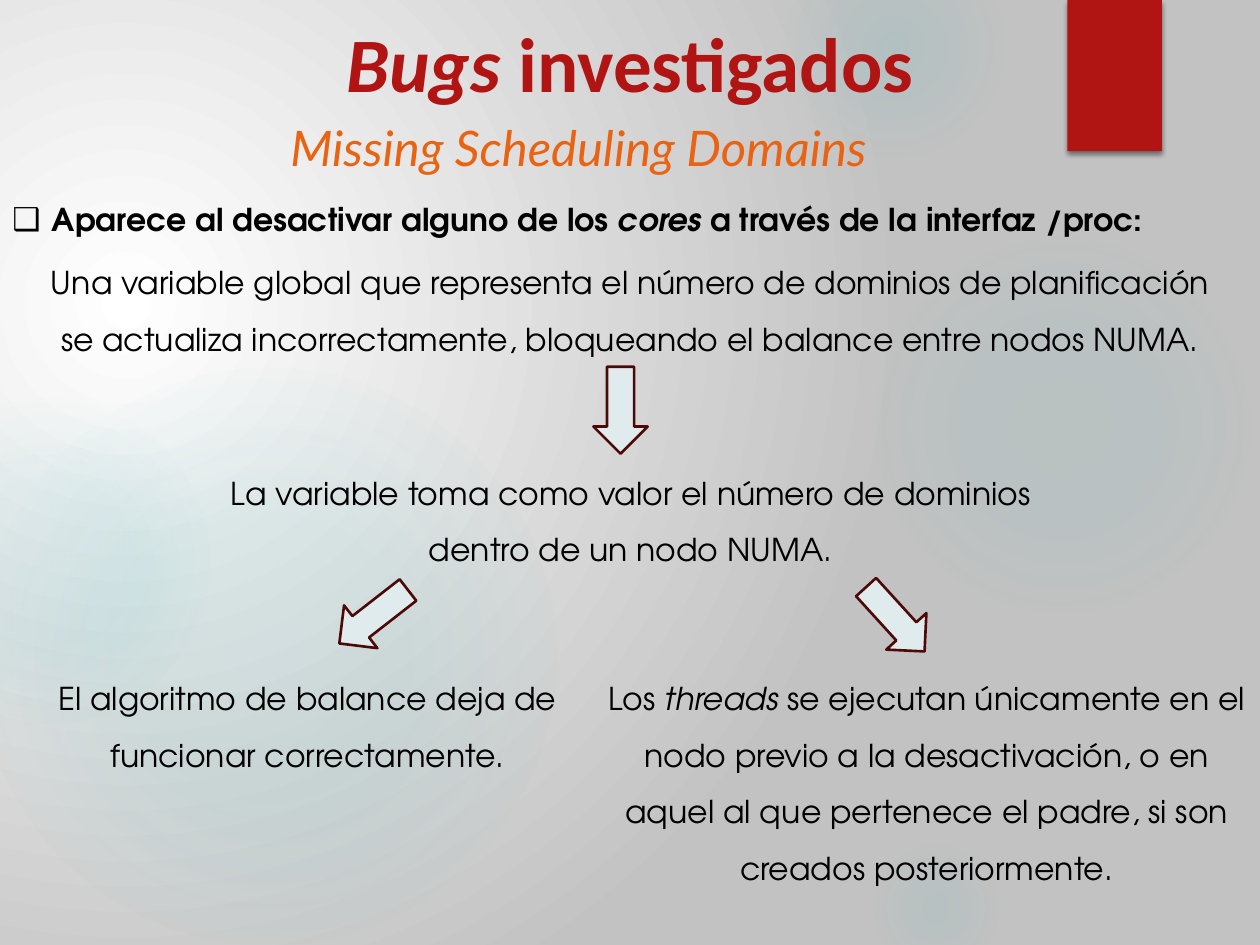
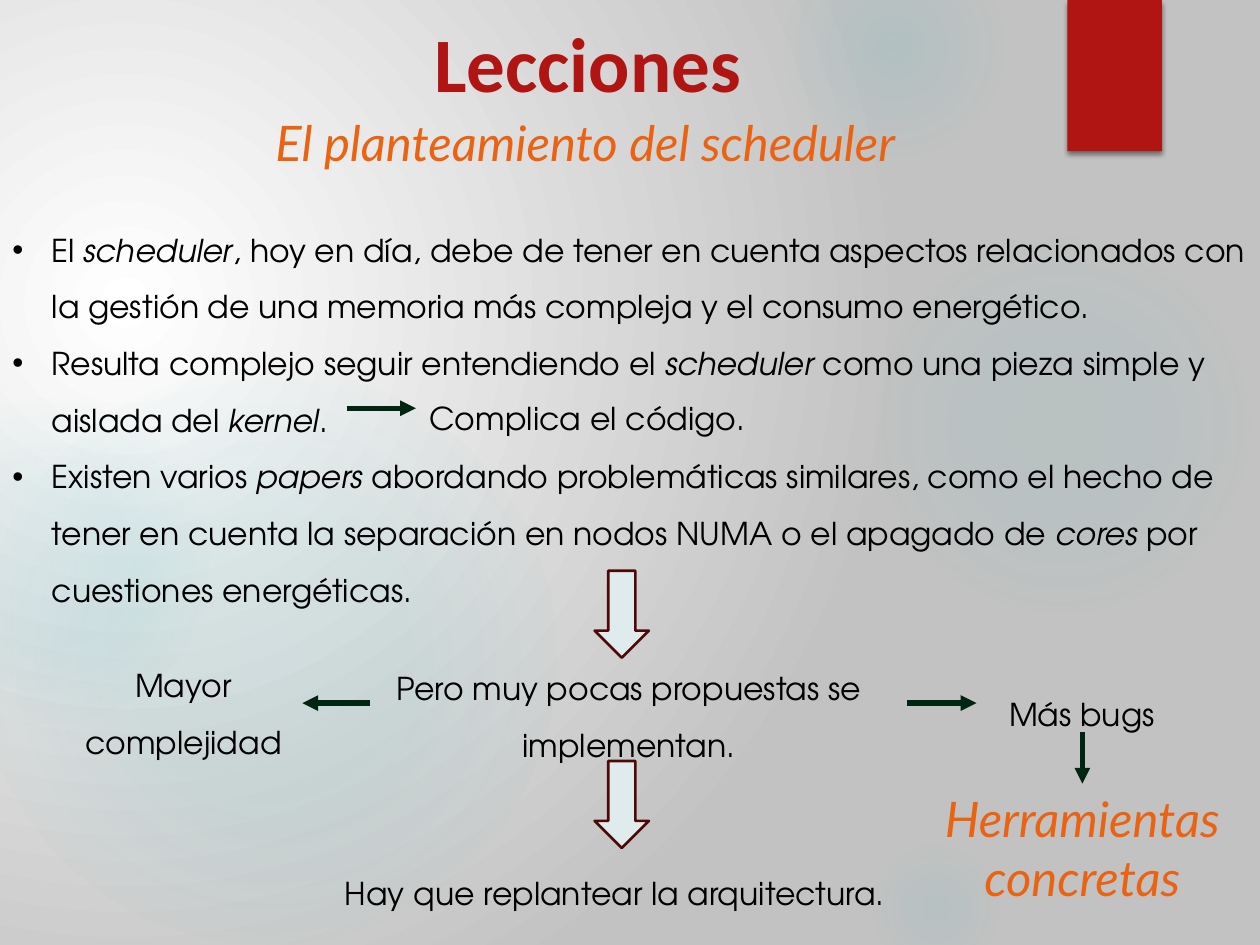
from lxml.etree import SubElement
from pptx import Presentation
from pptx.dml.color import RGBColor
from pptx.enum.shapes import MSO_CONNECTOR, MSO_SHAPE
from pptx.enum.text import MSO_ANCHOR, MSO_AUTO_SIZE, PP_ALIGN
from pptx.oxml.ns import qn
from pptx.util import Pt

# Shared look
RED, ORANGE, BLACK = "B01513", "EA6312", "000000"
GLOW, ARROW_FILL, ARROW_LINE, LINE = "50B9C1", "DFEBEC", "4D0908", "002611"
BACKGROUND_STOPS = [(0, "FFFFFF", 100), (100, "C2C2C2", 100)]
BACKGROUND_FOCUS = (45, 65, 125, 100)
GLOW_FOCUS = (50, 50, 50, 50)
RIBBON = (610, 0, 54, 86.4)
ARROW_LENGTH, ARROW_WIDTH = 49.7, 31

# Glow circles: left, top, diameter, then (position, opacity) stops
GLOWS = [
    (496, 132, 222, [(0, 7), (36, 6), (69, 0)]),
    (448, -36, 126, [(0, 14), (36, 7), (73, 0)]),
    (496, 480, 78, [(0, 9), (36, 5), (66, 0)]),
    (-12, 210, 330, [(0, 11), (36, 10), (75, 0)]),
    (-66, 228, 186, [(0, 8), (36, 8), (72, 0)]),
]

# Text styles
BODY = dict(size=18, font="TeX Gyre Adventor", color=BLACK, spacing=1.5)
TITLE = dict(size=44, font="Calibri", color=RED, bold=True,
             anchor=MSO_ANCHOR.MIDDLE, insets=(0, 0), grow=False)
ACCENT = dict(size=28, font="Lato", color=ORANGE, italic=True, insets=(5, 2.9))
CHECK_LIST = dict(BODY, bullet="❑", align=PP_ALIGN.LEFT, bold=True)
DOT_LIST = dict(BODY, bullet="•", align=PP_ALIGN.LEFT)

# Content: asterisks switch italics; boxes are left, top, width, height;
# arrows are centre x, centre y, rotation; lines are start x, y, end x, y
SLIDES = [
    dict(
        texts=[
            ("*Bugs* investigados", (0, 2.9, 720, 64.8), TITLE),
            ("Missing Scheduling Domains", (50.4, 64.1, 560.2, 39.6), ACCENT),
            ("Aparece al desactivar alguno de los *cores* a través de la interfaz /proc:",
             (0, 100.1, 720, 36), CHECK_LIST),
            ("Una variable global que representa el número de dominios de planificación "
             "se actualiza incorrectamente, bloqueando el balance entre nodos NUMA.",
             (20.2, 136.1, 679.7, 68.4), BODY),
            ("La variable toma como valor el número de dominios dentro de un nodo NUMA.",
             (106.6, 256.3, 507.6, 68.4), BODY),
            ("El algoritmo de balance deja de funcionar correctamente.",
             (5.8, 373.7, 339.8, 68.4), BODY),
            ("Los *threads* se ejecutan únicamente en el nodo previo a la desactivación, "
             "o en aquel al que pertenece el padre, si son creados posteriormente.",
             (339.1, 373.7, 380.9, 134), BODY),
        ],
        arrows=[(354.6, 234.4, 90), (213.5, 352.4, 142.1), (511.6, 353.9, 47.7)],
        lines=[],
    ),
    dict(
        texts=[
            ("Lecciones", (0, 2.9, 671.8, 64.8), TITLE),
            ("El planteamiento del scheduler", (24.5, 61.2, 619.9, 39.6), ACCENT),
            ("El *scheduler*, hoy en día, debe de tener en cuenta aspectos relacionados "
             "con la gestión de una memoria más compleja y el consumo energético.\n"
             "Resulta complejo seguir entendiendo el *scheduler* como una pieza simple y "
             "aislada del *kernel*.\n"
             "Existen varios *papers* abordando problemáticas similares, como el hecho de "
             "tener en cuenta la separación en nodos NUMA o el apagado de *cores* por "
             "cuestiones energéticas.", (0, 117.4, 720, 231.8), DOT_LIST),
            ("Complica el código.", (232.6, 213.8, 205.9, 36), BODY),
            ("Mayor complejidad", (11.5, 366.5, 186.5, 68.4), BODY),
            ("Pero muy pocas propuestas se implementan.",
             (185.8, 367.9, 347, 68.4), BODY),
            ("Más bugs", (524.9, 383, 186.5, 36), BODY),
            ("Hay que replantear la arquitectura.", (177.8, 485.3, 347, 36), BODY),
            ("Herramientas concretas", (475.9, 447.8, 285.1, 73.4), ACCENT),
        ],
        arrows=[(355.3, 351, 90), (355.3, 459.7, 90)],
        lines=[(198, 233.3, 237.6, 233.3), (211.7, 401.8, 172.8, 401.8),
               (518.4, 401.8, 558, 401.8), (618.5, 418.3, 618.5, 447.8)],
    ),
]


def rgb(value):
    return RGBColor.from_string(value)


def add_node(parent, tag, **attributes):
    return SubElement(parent, qn(tag), {key: str(value) for key, value in attributes.items()})


def add_color(parent, color, opacity):
    node = add_node(parent, "a:srgbClr", val=color)
    add_node(node, "a:alpha", val=opacity * 1000)


def set_radial_fill(fill, parent, stops, focus):
    """Swap a solid fill for a circular gradient."""
    fill.solid()
    solid = parent.find(qn("a:solidFill"))
    gradient = add_node(parent, "a:gradFill", rotWithShape=1)
    stop_list = add_node(gradient, "a:gsLst")
    for position, color, opacity in stops:
        add_color(add_node(stop_list, "a:gs", pos=position * 1000), color, opacity)
    path = add_node(gradient, "a:path", path="circle")
    add_node(path, "a:fillToRect", **{side: value * 1000 for side, value in zip("ltrb", focus)})
    parent.replace(solid, gradient)


def add_shape(slide, kind, box, fill, line=None):
    shape = slide.shapes.add_shape(kind, *map(Pt, box))
    shape.shadow.inherit = False
    shape.fill.solid()
    shape.fill.fore_color.rgb = rgb(fill)
    if line:
        shape.line.color.rgb = rgb(line)
        shape.line.width = Pt(1.5)
    else:
        shape.line.fill.background()
    return shape


def add_backdrop(slide):
    fill = slide.background.fill
    fill.solid()
    set_radial_fill(fill, slide.element.find(".//" + qn("p:bgPr")),
                    BACKGROUND_STOPS, BACKGROUND_FOCUS)
    for left, top, diameter, stops in GLOWS:
        circle = add_shape(slide, MSO_SHAPE.OVAL, (left, top, diameter, diameter), GLOW)
        set_radial_fill(circle.fill, circle.element.spPr,
                        [(position, GLOW, opacity) for position, opacity in stops], GLOW_FOCUS)
    ribbon = add_shape(slide, MSO_SHAPE.RECTANGLE, RIBBON, RED)
    shadow = add_node(ribbon.element.spPr.find(qn("a:effectLst")), "a:outerShdw",
                      blurRad=Pt(3), dist=Pt(2), dir=90 * 60000, rotWithShape=0)
    add_color(shadow, BLACK, 45)


def add_text(slide, text, box, *, size, font, color, bold=False, italic=False, spacing=None,
             align=PP_ALIGN.CENTER, anchor=MSO_ANCHOR.TOP, insets=(7.2, 3.6), bullet=None,
             grow=True):
    frame = slide.shapes.add_textbox(*map(Pt, box)).text_frame
    frame.word_wrap = True
    frame.auto_size = MSO_AUTO_SIZE.SHAPE_TO_FIT_TEXT if grow else MSO_AUTO_SIZE.NONE
    frame.vertical_anchor = anchor
    frame.margin_left = frame.margin_right = Pt(insets[0])
    frame.margin_top = frame.margin_bottom = Pt(insets[1])
    for index, content in enumerate(text.split("\n")):
        paragraph = frame.add_paragraph() if index else frame.paragraphs[0]
        paragraph.alignment = align
        if spacing:
            paragraph.line_spacing = spacing
        if bullet:
            properties = paragraph._p.get_or_add_pPr()
            properties.set("marL", str(Pt(22.5)))
            properties.set("indent", str(-Pt(22.5)))
            add_node(properties, "a:buFont", typeface="Arial")
            add_node(properties, "a:buChar", char=bullet)
        for part, words in enumerate(content.split("*")):
            if words:
                run = paragraph.add_run()
                run.text = words
                run.font.size, run.font.name = Pt(size), font
                run.font.bold, run.font.italic = bold, italic or part % 2 == 1
                run.font.color.rgb = rgb(color)


def add_block_arrow(slide, center_x, center_y, rotation):
    box = (center_x - ARROW_LENGTH / 2, center_y - ARROW_WIDTH / 2, ARROW_LENGTH, ARROW_WIDTH)
    add_shape(slide, MSO_SHAPE.RIGHT_ARROW, box, ARROW_FILL, ARROW_LINE).rotation = rotation


def add_line_arrow(slide, *ends):
    connector = slide.shapes.add_connector(MSO_CONNECTOR.STRAIGHT, *map(Pt, ends))
    connector.line.color.rgb = rgb(LINE)
    connector.line.width = Pt(3)
    add_node(connector.line._get_or_add_ln(), "a:tailEnd", type="triangle")
    add_node(connector._element.spPr, "a:effectLst")


def main():
    presentation = Presentation()
    presentation.slide_width, presentation.slide_height = Pt(720), Pt(540)
    for content in SLIDES:
        slide = presentation.slides.add_slide(presentation.slide_layouts[6])
        add_backdrop(slide)
        for text, box, style in content["texts"]:
            add_text(slide, text, box, **style)
        for arrow in content["arrows"]:
            add_block_arrow(slide, *arrow)
        for line in content["lines"]:
            add_line_arrow(slide, *line)
    presentation.save("out.pptx")


if __name__ == "__main__":
    main()
